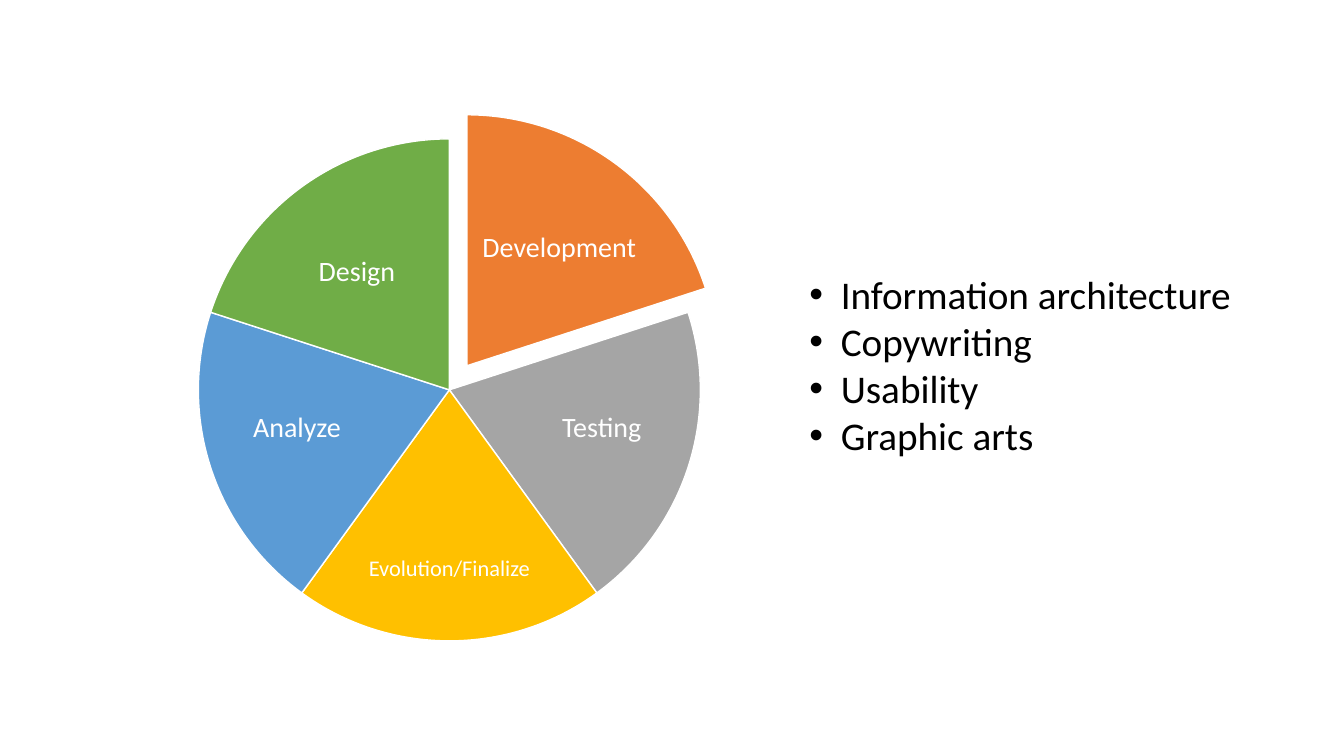
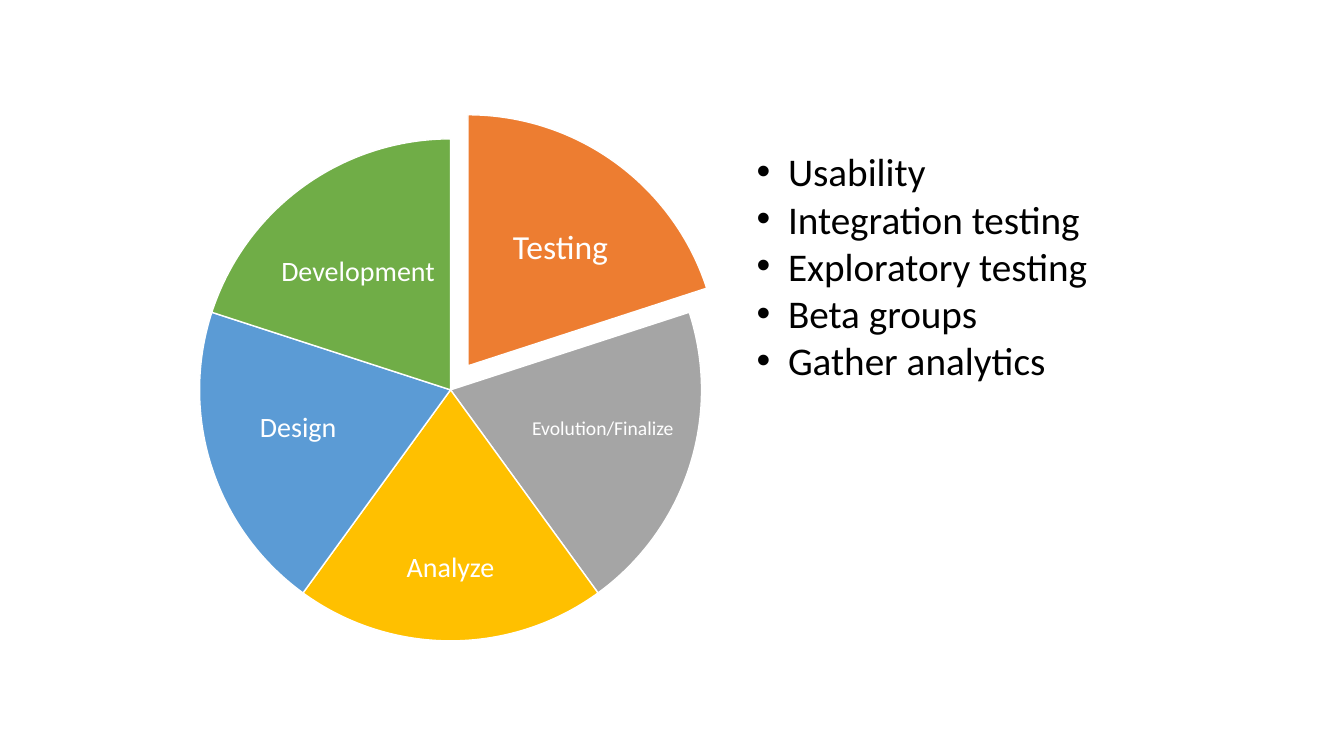
from dataclasses import dataclass, field
from math import cos, radians, sin

from lxml import etree
from pptx import Presentation
from pptx.dml.color import RGBColor
from pptx.enum.shapes import MSO_SHAPE
from pptx.enum.text import MSO_ANCHOR, MSO_AUTO_SIZE, PP_ALIGN
from pptx.oxml.ns import qn
from pptx.shapes.group import GroupShape
from pptx.slide import Slide
from pptx.util import Cm, Pt

PIE = MSO_SHAPE.PIE
CENTER = PP_ALIGN.CENTER
MIDDLE = MSO_ANCHOR.MIDDLE
GROW = MSO_AUTO_SIZE.SHAPE_TO_FIT_TEXT

FONT = "Calibri"
WHITE = RGBColor(0xFF, 0xFF, 0xFF)
BLACK = RGBColor(0x00, 0x00, 0x00)
ORANGE = RGBColor(0xED, 0x7D, 0x31)
GRAY = RGBColor(0xA5, 0xA5, 0xA5)
GOLD = RGBColor(0xFF, 0xC0, 0x00)
BLUE = RGBColor(0x5B, 0x9B, 0xD5)
GREEN = RGBColor(0x70, 0xAD, 0x47)

# Lengths in centimetres, angles in degrees clockwise from three o'clock
DIAMETER = 12.65
WHEEL_TOP = 3.5
PULL_OUT = 0.75
FIRST_ANGLE = 270
LABEL_INSET = 0.05
BULLET_INDENT = 0.79
ADJUSTMENT_PER_DEGREE = 0.6  # 60000 units a degree, 100000 an adjustment

PHASES = ["Development", "Testing", "Evolution/Finalize", "Analyze", "Design"]


@dataclass(frozen=True)
class Sector:
    """One place on the wheel; the label centre is relative to the hub."""
    color: RGBColor
    label_x: float
    label_y: float
    label_width: float
    label_height: float


SECTORS = [
    Sector(ORANGE, 2.33, -2.95, 4.3, 2.95),
    Sector(GRAY, 3.84, 0.98, 3.76, 3.18),
    Sector(GOLD, 0, 4.51, 4.52, 2.72),
    Sector(BLUE, -3.84, 0.98, 3.76, 3.18),
    Sector(GREEN, -2.33, -2.95, 4.3, 2.95),
]
SWEEP = 360 / len(SECTORS)


@dataclass(frozen=True)
class PhaseSlide:
    """A phase pulled out of the wheel, with its activities."""
    phase: str
    wheel_left: float
    list_box: tuple[float, float, float, float]
    activities: list[str]
    label_sizes: dict[str, int] = field(default_factory=dict)


PHASE_SLIDES = [
    PhaseSlide(
        "Development", 5, (20.15, 6.68, 12.5, 5.05),
        ["Information architecture", "Copywriting", "Usability", "Graphic arts"],
        {"Evolution/Finalize": 16},
    ),
    PhaseSlide(
        "Testing", 5.03, (18.82, 3.6, 12.95, 6.25),
        ["Usability", "Integration testing", "Exploratory testing",
         "Beta groups", "Gather analytics"],
        {"Testing": 24, "Evolution/Finalize": 14},
    ),
]


def add_sector(wheel: GroupShape, left: float, top: float,
               start: float, color: RGBColor) -> None:
    sector = wheel.shapes.add_shape(
        PIE, Cm(left), Cm(top), Cm(DIAMETER), Cm(DIAMETER))
    for side, angle in enumerate((start, start + SWEEP)):
        sector.adjustments[side] = angle % 360 * ADJUSTMENT_PER_DEGREE
    sector.shadow.inherit = False
    sector.fill.solid()
    sector.fill.fore_color.rgb = color
    sector.line.color.rgb = WHITE
    sector.line.width = Pt(1)


def add_label(wheel: GroupShape, hub_x: float, hub_y: float,
              sector: Sector, phase: str, size: int) -> None:
    label = wheel.shapes.add_textbox(
        Cm(hub_x + sector.label_x - sector.label_width / 2),
        Cm(hub_y + sector.label_y - sector.label_height / 2),
        Cm(sector.label_width), Cm(sector.label_height))
    frame = label.text_frame
    frame.word_wrap = True
    frame.vertical_anchor = MIDDLE
    frame.margin_left = frame.margin_right = Cm(LABEL_INSET)
    frame.margin_top = frame.margin_bottom = Cm(LABEL_INSET)
    frame.text = phase
    paragraph = frame.paragraphs[0]
    paragraph.alignment = CENTER
    paragraph.line_spacing = 0.9
    font = paragraph.runs[0].font
    font.name, font.size, font.color.rgb = FONT, Pt(size), WHITE


def add_wheel(slide: Slide, content: PhaseSlide) -> None:
    wheel = slide.shapes.add_group_shape()
    first = PHASES.index(content.phase)
    phases = PHASES[first:] + PHASES[:first]
    for place, (sector, phase) in enumerate(zip(SECTORS, phases)):
        start = FIRST_ANGLE + place * SWEEP
        middle = radians(start + SWEEP / 2)
        shift = PULL_OUT if phase == content.phase else 0
        left = content.wheel_left + shift * cos(middle)
        top = WHEEL_TOP + shift * sin(middle)
        add_sector(wheel, left, top, start, sector.color)
        add_label(wheel, left + DIAMETER / 2, top + DIAMETER / 2,
                  sector, phase, content.label_sizes.get(phase, 20))


def add_activities(slide: Slide, content: PhaseSlide) -> None:
    activities = slide.shapes.add_textbox(*map(Cm, content.list_box))
    frame = activities.text_frame
    frame.word_wrap = True
    frame.auto_size = GROW
    frame.text = "\n".join(content.activities)
    for paragraph in frame.paragraphs:
        properties = paragraph._p.get_or_add_pPr()
        properties.set("marL", str(Cm(BULLET_INDENT)))
        properties.set("indent", str(-Cm(BULLET_INDENT)))
        etree.SubElement(properties, qn("a:buFont"), typeface="Arial")
        etree.SubElement(properties, qn("a:buChar"), char="•")
        font = paragraph.runs[0].font
        font.name, font.size, font.color.rgb = FONT, Pt(28), BLACK


def main() -> None:
    presentation = Presentation()
    presentation.slide_width = Cm(33.87)
    presentation.slide_height = Cm(19.05)
    blank_layout = presentation.slide_layouts[6]
    for content in PHASE_SLIDES:
        slide = presentation.slides.add_slide(blank_layout)
        add_wheel(slide, content)
        add_activities(slide, content)
    presentation.save("out.pptx")


if __name__ == "__main__":
    main()
